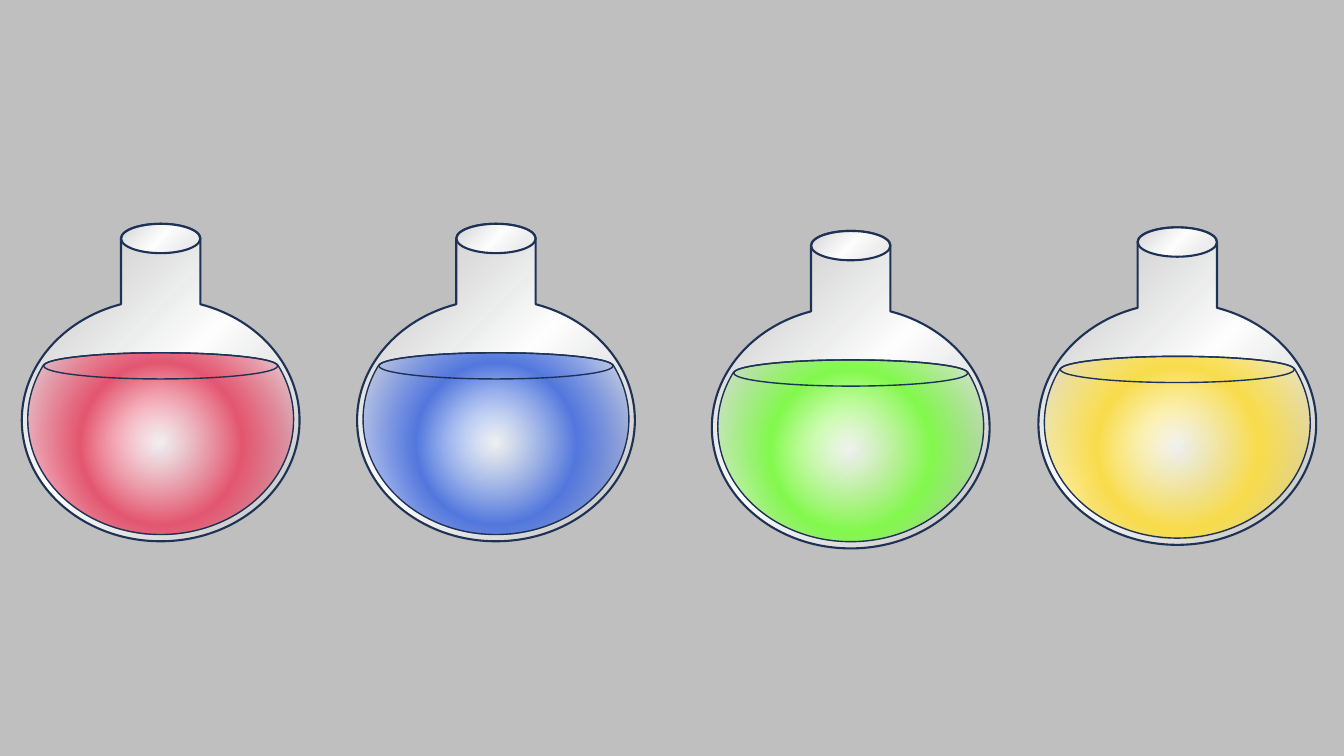
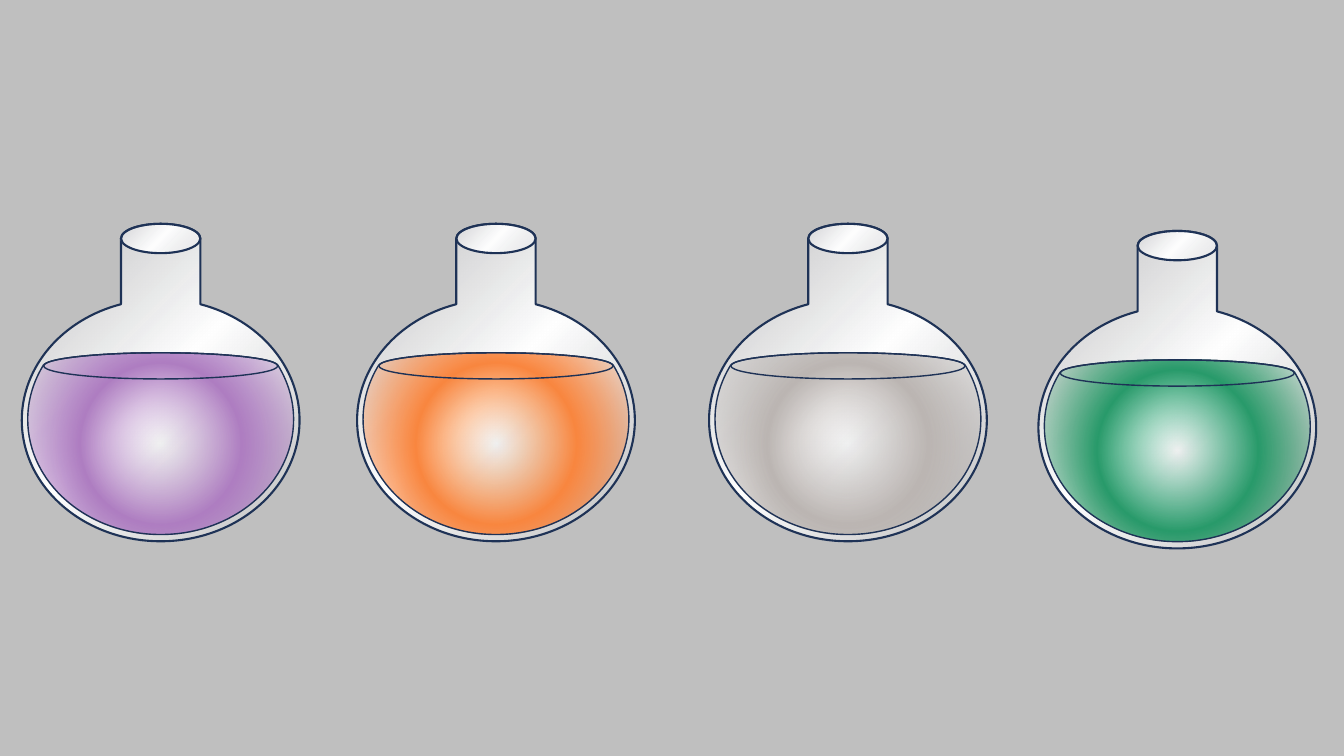
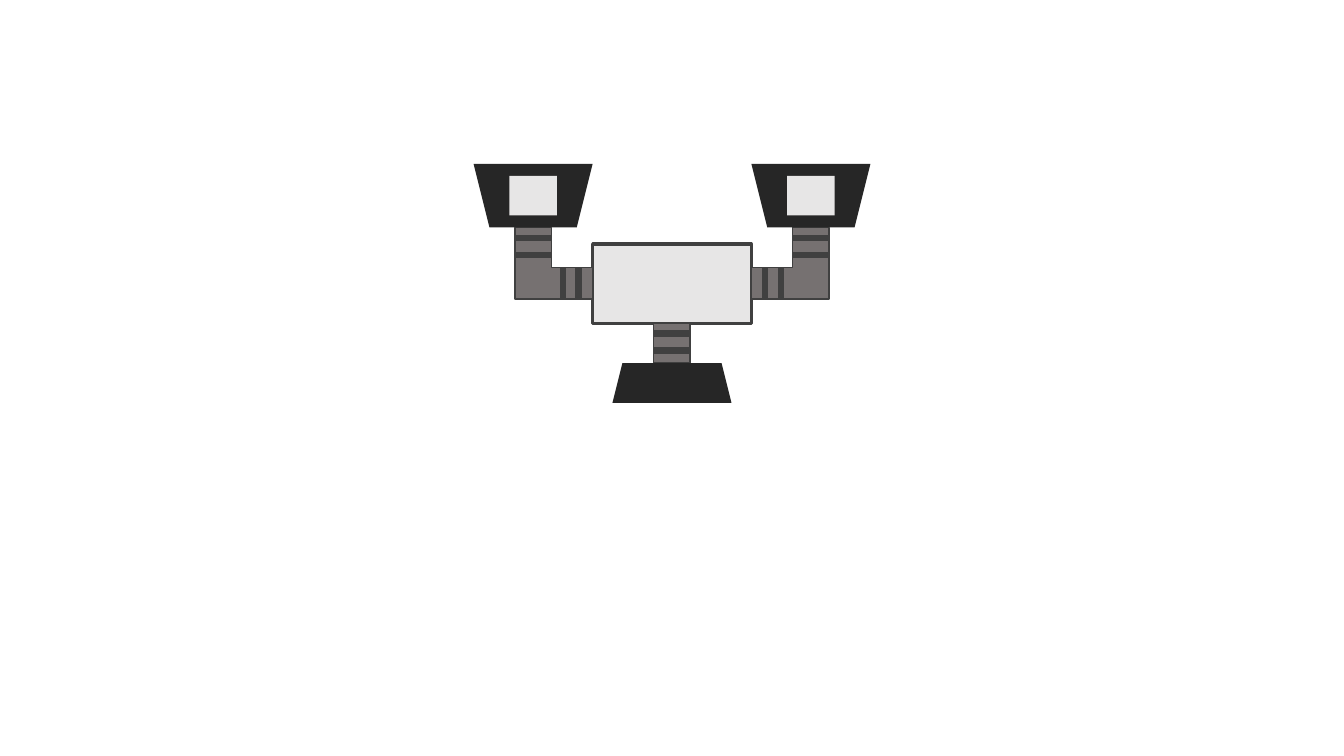
from dataclasses import dataclass
from math import asin, cos, pi, sin, tan
from typing import NamedTuple, Optional

from pptx import Presentation
from pptx.dml.color import RGBColor as RGB
from pptx.enum.shapes import MSO_SHAPE as Geo
from pptx.oxml import parse_xml
from pptx.oxml.ns import nsdecls, qn
from pptx.util import Cm, Pt


@dataclass(frozen=True)
class Theme:
    wall: str = "BFBFBF"
    paper: str = "FFFFFF"
    outline: str = "1E3256"
    glass: tuple = ("F6F8FC", "FFFFFF", "F6F8FC")
    dark: str = "262626"
    edge: str = "404040"
    pipe: str = "767171"
    panel: str = "E7E6E6"
    thin: float = 1
    medium: float = 1.5
    thick: float = 2.25


class Ellipse(NamedTuple):
    cx: float
    cy: float
    rx: float
    ry: float

    def at(self, angle: float) -> tuple:
        return self.cx + self.rx * cos(angle), self.cy + self.ry * sin(angle)

    def moved(self, dx: float, dy: float) -> "Ellipse":
        return self._replace(cx=self.cx + dx, cy=self.cy + dy)

    def curve(self, start: float, end: float) -> list:
        k = 4 / 3 * tan((end - start) / 4)
        (x1, y1), (x2, y2) = self.at(start), self.at(end)
        return [(x1 - k * self.rx * sin(start), y1 + k * self.ry * cos(start)),
                (x2 + k * self.rx * sin(end), y2 - k * self.ry * cos(end)),
                (x2, y2)]


class Flask(NamedTuple):
    left: float
    top: float
    liquid: tuple


T = Theme()
WIDTH, HEIGHT = 33.87, 19.05
MID = WIDTH / 2

RIM = Ellipse(3.5, 0.37, 1, 0.37)
BULB = Ellipse(3.5, 4.95, 3.5, 3.05)
SURFACE = Ellipse(3.5, 3.58, 2.95, 0.33)
POOL = Ellipse(3.5, 4.93, 3.35, 2.9)

RED = ("F77D94", "E45770", "E02A4E")
BLUE = ("779EF1", "5378DE", "2A54D7")
LIME = ("A8FF6A", "83FA4D", "6ED93F")
YELLOW = ("FEEA69", "FADD4C", "FBD61B")
PURPLE = ("C7A0D5", "AF7EC2", "9C5EB6")
ORANGE = ("FFA45D", "FA8740", "FB6D18")
GREY = ("CAC4C1", "BCB6B3", "ABA5A1")
GREEN = ("3BB486", "299B6B", "13834D")

SHELVES = (
    (Flask(0.55, 5.64, RED), Flask(9, 5.64, BLUE),
     Flask(17.94, 5.82, LIME), Flask(26.17, 5.73, YELLOW)),
    (Flask(0.55, 5.64, PURPLE), Flask(9, 5.64, ORANGE),
     Flask(17.87, 5.64, GREY), Flask(26.17, 5.82, GREEN)),
)

PIPE_W = 0.92
BAND = 0.13


def style(sp, fill: Optional[str] = None, line: Optional[str] = None, width: float = T.thin):
    sp.shadow.inherit = False
    if fill:
        sp.fill.solid()
        sp.fill.fore_color.rgb = RGB.from_string(fill)
    else:
        sp.fill.background()
    if line:
        sp.line.color.rgb = RGB.from_string(line)
        sp.line.width = Pt(width)
    else:
        sp.line.fill.background()
    return sp


def fade(sp, colors: tuple, radial: bool = False) -> None:
    first, middle, last = colors
    clear = '<a:gs pos="{}"><a:srgbClr val="{}"><a:alpha val="0"/></a:srgbClr></a:gs>'
    if radial:
        course = ('<a:path path="circle"><a:fillToRect l="50000" t="50000" '
                  'r="50000" b="50000"/></a:path>')
    else:
        course = '<a:lin ang="2700000" scaled="0"/>'
    grad = parse_xml(
        f'<a:gradFill {nsdecls("a")} rotWithShape="1"><a:gsLst>{clear.format(0, first)}'
        f'<a:gs pos="50000"><a:srgbClr val="{middle}"/></a:gs>'
        f'{clear.format(100000, last)}</a:gsLst>{course}</a:gradFill>')
    sp_pr = sp._element.spPr
    sp_pr.replace(sp_pr.find(qn("a:noFill")), grad)


def polygon(shapes, points: list, **look):
    (x, y), *rest = [(Cm(px), Cm(py)) for px, py in points]
    builder = shapes.build_freeform(x, y)
    builder.add_line_segments(rest, close=True)
    return style(builder.convert_to_shape(), **look)


def block(shapes, x: float, y: float, w: float, h: float, geo=Geo.RECTANGLE, **look):
    return style(shapes.add_shape(geo, Cm(x), Cm(y), Cm(w), Cm(h)), **look)


def oval(shapes, e: Ellipse, **look):
    return block(shapes, e.cx - e.rx, e.cy - e.ry, 2 * e.rx, 2 * e.ry, Geo.OVAL, **look)


def bend(sp, curves: list) -> None:
    segments = list(sp._element.iter(qn("a:lnTo")))
    for segment, curve in zip(segments, curves):
        if curve:
            pts = "".join(f'<a:pt x="{Cm(x) - sp.left}" y="{Cm(y) - sp.top}"/>'
                          for x, y in curve)
            segment.getparent().replace(segment, parse_xml(
                f'<a:cubicBezTo {nsdecls("a")}>{pts}</a:cubicBezTo>'))


def vessel(shapes, mouth: Ellipse, body: Ellipse, width: float):
    joint = asin(mouth.rx / body.rx) - pi / 2
    lip = (pi, 1.5 * pi, 2 * pi)
    belly = (joint, 0, pi / 2, pi, pi - joint)
    corners = [mouth.at(a) for a in lip] + [body.at(a) for a in belly]
    sp = polygon(shapes, corners, line=T.outline, width=width)
    bend(sp, [mouth.curve(a, b) for a, b in zip(lip, lip[1:])] + [None]
         + [body.curve(a, b) for a, b in zip(belly, belly[1:])])
    return sp


def draw_flask(s, flask: Flask) -> None:
    shapes = s.shapes.add_group_shape().shapes
    rim, bulb, surface, pool = (
        e.moved(flask.left, flask.top) for e in (RIM, BULB, SURFACE, POOL))
    fade(vessel(shapes, rim, bulb, T.medium), T.glass)
    fade(oval(shapes, rim, line=T.outline, width=T.medium), T.glass)
    fade(vessel(shapes, surface, pool, T.thin), flask.liquid, radial=True)
    oval(shapes, surface, line=T.outline)


def pipe_bands(s, cx: float, top: float) -> None:
    for i in range(2):
        block(s.shapes, cx - PIPE_W / 2, top + 0.19 + 0.43 * i, PIPE_W, BAND,
              fill=T.edge, line=T.edge)


def draw_arm(s, side: int) -> None:
    top, inner, bottom = 5.74, 6.74, 7.54
    lamp = MID + side * 3.5
    near, far = lamp - side * PIPE_W / 2, lamp + side * PIPE_W / 2
    core = MID + side * 2
    polygon(s.shapes, [(far, top), (near, top), (near, inner), (core, inner),
                       (core, bottom), (far, bottom)], fill=T.pipe, line=T.edge)
    for i in range(2):
        cx = core + side * (0.35 + 0.4 * i)
        block(s.shapes, cx - BAND / 2, inner, BAND, bottom - inner, fill=T.edge, line=T.edge)
    pipe_bands(s, lamp, top)
    shade = block(s.shapes, lamp - 1.5, 4.13, 3, 1.6, Geo.TRAPEZOID, fill=T.dark)
    shade.rotation = 180
    block(s.shapes, lamp - 0.6, 4.43, 1.2, 1, fill=T.panel)


def draw_machine(s) -> None:
    block(s.shapes, MID - 2, 6.15, 4, 2, fill=T.panel, line=T.edge, width=T.thick)
    for side in (-1, 1):
        draw_arm(s, side)
    block(s.shapes, MID - PIPE_W / 2, 8.15, PIPE_W, 1, fill=T.pipe, line=T.edge)
    pipe_bands(s, MID, 8.15)
    block(s.shapes, MID - 1.5, 9.15, 3, 1, Geo.TRAPEZOID, fill=T.dark)


def new_slide(prs, color: str):
    s = prs.slides.add_slide(prs.slide_layouts[6])
    s.background.fill.solid()
    s.background.fill.fore_color.rgb = RGB.from_string(color)
    return s


def main() -> None:
    prs = Presentation()
    prs.slide_width, prs.slide_height = Cm(WIDTH), Cm(HEIGHT)
    for shelf in SHELVES:
        s = new_slide(prs, T.wall)
        for flask in shelf:
            draw_flask(s, flask)
    draw_machine(new_slide(prs, T.paper))
    prs.save("out.pptx")


if __name__ == "__main__":
    main()
